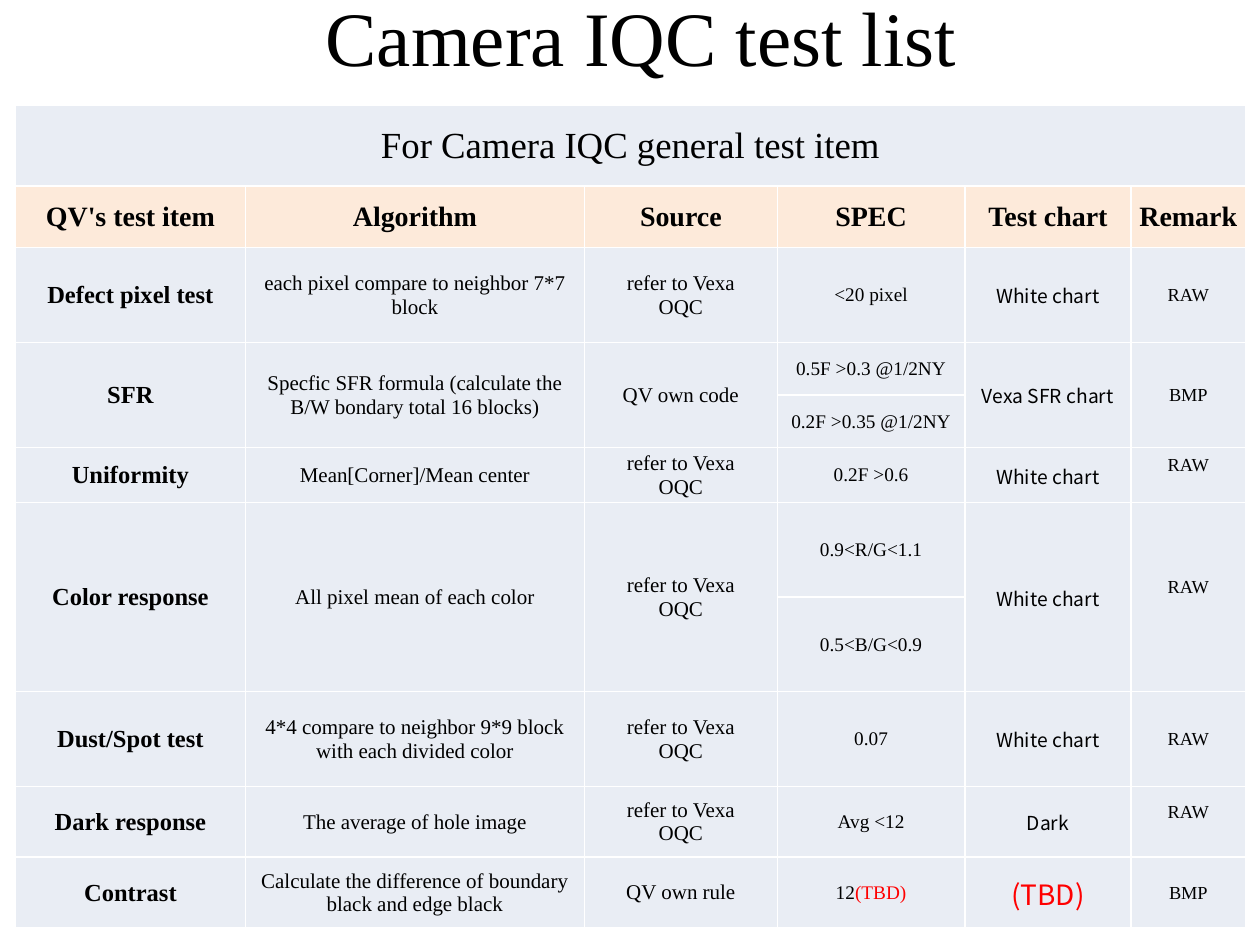
from lxml import etree
from pptx import Presentation
from pptx import util as u
from pptx.dml.color import RGBColor
from pptx.enum import text
from pptx.oxml.ns import qn

COLORS = {"ink": "000000", "alert": "FF0000", "body": "E9EDF4",
          "header": "FDEADA", "rule": "FFFFFF"}
SERIF, SANS = "Times New Roman", "Noto Sans CJK SC"
WIDTHS = [4.64, 6.83, 3.89, 3.78, 3.35, 2.31]
HEIGHTS = [1.62, 1.24, 1.91, 1.06, 1.06, 1.11, 1.9, 1.91, 1.91, 1.43, 1.42]
CAPTION = "For Camera IQC general test item"
HEADERS = ["QV's test item", "Algorithm", "Source", "SPEC", "Test chart", "Remark"]
SUPPLIER, WHITE = "refer to Vexa\nOQC", "White chart"
TESTS = [
    ["Defect pixel test", "each pixel compare to neighbor 7*7 block", SUPPLIER,
     "<20 pixel", WHITE, "RAW"],
    ["SFR", "Specfic SFR formula (calculate the B/W bondary total 16 blocks)",
     "QV own code", "0.5F >0.3 @1/2NY", "Vexa SFR chart", "BMP"],
    [None, None, None, "0.2F >0.35 @1/2NY", None, None],
    ["Uniformity", "Mean[Corner]/Mean center", SUPPLIER, "0.2F >0.6", WHITE, "RAW"],
    ["Color response", "All pixel mean of each color", SUPPLIER,
     "0.9<R/G<1.1", WHITE, "RAW"],
    [None, None, None, "0.5<B/G<0.9", None, None],
    ["Dust/Spot test", "4*4 compare to neighbor 9*9 block with each divided color",
     SUPPLIER, "0.07", WHITE, "RAW"],
    ["Dark response", "The average of hole image", SUPPLIER, "Avg <12", "Dark", "RAW"],
    ["Contrast", "Calculate the difference of boundary black and edge black",
     "QV own rule", "12(TBD)", "(TBD)", "BMP"],
]
STYLES = [{"size": 14, "bold": True}, {"size": 12}, {"size": 12},
          {"size": 11}, {"size": 11, "font": SANS}, {"size": 10.5}]
PENDING = "(TBD)"
RAISED_REMARKS = {"Uniformity", "Color response", "Dark response"}


def add_span(para, wording, size, bold, font, color):
    """Add one formatted run to a paragraph."""
    span = para.add_run()
    span.text = wording
    span.font.size = u.Pt(size)
    span.font.bold = bold
    span.font.name = font
    span.font.color.rgb = RGBColor.from_string(COLORS[color])


def write(frame, wording, size=12, bold=False, font=SERIF):
    """Fill a text frame with centred lines, marking pending values in red."""
    frame.word_wrap = True
    for index, line in enumerate(wording.split("\n")):
        para = frame.add_paragraph() if index else frame.paragraphs[0]
        para.alignment = text.PP_ALIGN.CENTER
        known, pending, _ = line.partition(PENDING)
        for part, color in ((known, "ink"), (pending, "alert")):
            if part:
                add_span(para, part, size, bold, font, color)


def add_borders(cell):
    """Draw a thin line on all four sides of a cell."""
    properties = cell._tc.get_or_add_tcPr()
    for index, side in enumerate(("a:lnL", "a:lnR", "a:lnT", "a:lnB")):
        line = etree.Element(qn(side), w=str(u.Pt(1)))
        fill = etree.SubElement(line, qn("a:solidFill"))
        etree.SubElement(fill, qn("a:srgbClr"), val=COLORS["rule"])
        properties.insert(index, line)


def format_cell(cell, color):
    """Give a cell its fill, margins, anchor and borders."""
    cell.fill.solid()
    cell.fill.fore_color.rgb = RGBColor.from_string(COLORS[color])
    cell.margin_left = cell.margin_right = cell.margin_top = u.Cm(0.02)
    cell.margin_bottom = 0
    cell.vertical_anchor = text.MSO_ANCHOR.MIDDLE
    add_borders(cell)


def add_title(page, wording):
    """Add the page title."""
    box = page.shapes.add_textbox(u.Cm(1.5), u.Cm(-0.28), u.Cm(22.86), u.Cm(2))
    box.text_frame.vertical_anchor = text.MSO_ANCHOR.MIDDLE
    write(box.text_frame, wording, size=44)


def add_test_table(page):
    """Add the table of camera tests."""
    table = page.shapes.add_table(
        len(HEIGHTS), len(WIDTHS), u.Cm(0.31), u.Cm(2.13),
        u.Cm(sum(WIDTHS)), u.Cm(sum(HEIGHTS))).table
    table.first_row = table.horz_banding = False
    for column, width in zip(table.columns, WIDTHS):
        column.width = u.Cm(width)
    for number, height in enumerate(HEIGHTS):
        table.rows[number].height = u.Cm(height)
        for column in range(len(WIDTHS)):
            format_cell(table.cell(number, column), "header" if number == 1 else "body")
    table.cell(0, 0).merge(table.cell(0, len(WIDTHS) - 1))
    write(table.cell(0, 0).text_frame, CAPTION, size=21)
    for column, header in enumerate(HEADERS):
        write(table.cell(1, column).text_frame, header, size=16, bold=True)
    for number, test in enumerate(TESTS, start=2):
        for column, wording in enumerate(test):
            cell = table.cell(number, column)
            if wording is None:
                table.cell(number - 1, column).merge(cell)
            else:
                style = STYLES[column]
                if wording == PENDING:
                    style = {**style, "size": 16}
                write(cell.text_frame, wording, **style)
        if test[0] in RAISED_REMARKS:
            table.cell(number, len(WIDTHS) - 1).margin_bottom = u.Cm(0.4)


def main():
    """Build and save the deck."""
    deck = Presentation()
    deck.slide_width, deck.slide_height = u.Cm(25.4), u.Cm(19.05)
    page = deck.slides.add_slide(deck.slide_layouts[6])
    add_title(page, "Camera IQC test list")
    add_test_table(page)
    deck.save("out.pptx")


if __name__ == "__main__":
    main()
